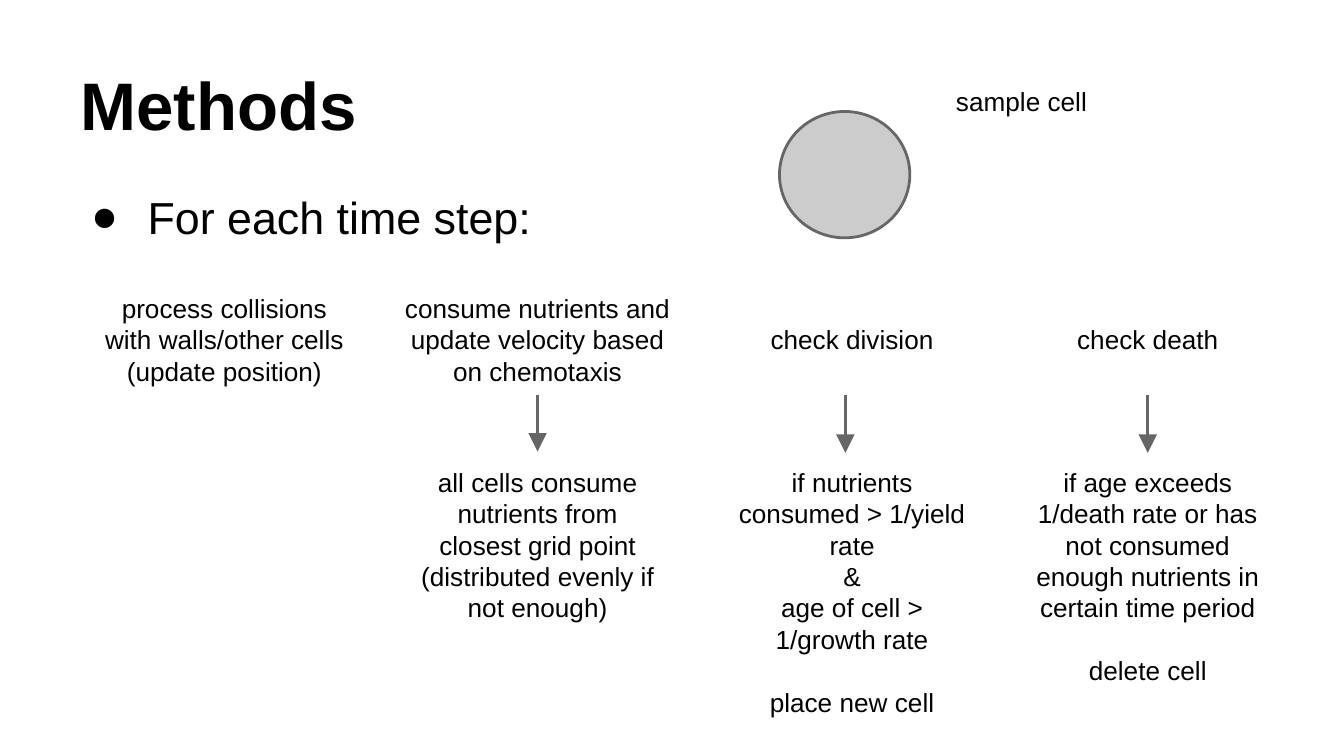
import pptx
import pptx.util
import pptx.dml.color
import pptx.enum.shapes
import pptx.enum.text
import pptx.oxml
import pptx.oxml.ns
from pptx.util import Inches

ANCHOR = pptx.enum.text.MSO_ANCHOR
ALIGN = pptx.enum.text.PP_ALIGN
GRAY = "666666"
STEP_TOP = 2.11
DETAIL_TOP = 3.37
BOX_WIDTH = 2.02
BOX_HEIGHT = 0.83

STEPS = [
    (0.66, BOX_WIDTH, "process collisions with walls/other cells (update position)"),
    (2.85, 2.3, "consume nutrients and update velocity based on chemotaxis"),
    (5.33, BOX_WIDTH, "check division"),
    (7.53, BOX_WIDTH, "check death"),
]
DETAILS = [
    (2.99, 1.46, ["all cells consume nutrients from closest grid point "
                  "(distributed evenly if not enough)"], None),
    (5.33, BOX_HEIGHT, ["if nutrients consumed > 1/yield rate", "&",
                        "age of cell > 1/growth rate"], "place new cell"),
    (7.53, BOX_HEIGHT, ["if age exceeds 1/death rate or has not consumed "
                        "enough nutrients in certain time period"], "delete cell"),
]
ARROWS = [(4, 3.36), (6.29, 3.37), (8.54, 3.37)]


def color(value):
    return pptx.dml.color.RGBColor.from_string(value)


def element(tag, attributes=""):
    namespace = pptx.oxml.ns.nsdecls("a")
    return pptx.oxml.parse_xml(f"<a:{tag} {namespace} {attributes}/>")


def apply(target, values):
    for name, value in values.items():
        setattr(target, name, value)


def format_frame(frame, anchor):
    margin = Inches(0.1)
    apply(frame, {
        "word_wrap": True, "auto_size": pptx.enum.text.MSO_AUTO_SIZE.NONE,
        "vertical_anchor": anchor, "margin_left": margin, "margin_right": margin,
        "margin_top": margin, "margin_bottom": margin,
    })


def write_para(para, text, size, align, bold=False):
    para.alignment = align
    span = para.add_run()
    span.text = text
    apply(span.font, {"name": "Arial", "size": pptx.util.Pt(size), "bold": bold})
    span.font.color.rgb = color("000000")


def add_text(page, left, top, width, height, texts, size=14,
             align=ALIGN.CENTER, anchor=ANCHOR.TOP):
    box = page.shapes.add_textbox(Inches(left), Inches(top), Inches(width), Inches(height))
    frame = box.text_frame
    format_frame(frame, anchor)
    for index, text in enumerate(texts):
        para = frame.add_paragraph() if index else frame.paragraphs[0]
        write_para(para, text, size, align)
    return frame


def add_title(page, text):
    title = page.shapes.title
    apply(title, {"left": Inches(0.5), "top": Inches(0.23),
                  "width": Inches(9), "height": Inches(0.94)})
    format_frame(title.text_frame, ANCHOR.BOTTOM)
    write_para(title.text_frame.paragraphs[0], text, 36, ALIGN.LEFT, True)


def add_bullet(para):
    properties = para._p.get_or_add_pPr()
    properties.set("marL", str(Inches(0.5)))
    properties.set("indent", str(Inches(-0.42)))
    properties.append(element("buFont", 'typeface="Arial"'))
    properties.append(element("buChar", 'char="●"'))


def add_cell(page):
    cell = page.shapes.add_shape(
        pptx.enum.shapes.MSO_SHAPE.OVAL,
        Inches(5.8), Inches(0.83), Inches(0.97), Inches(0.94))
    cell.shadow.inherit = False
    cell.fill.solid()
    cell.fill.fore_color.rgb = color("CCCCCC")
    cell.line.color.rgb = color(GRAY)
    cell.line.width = pptx.util.Pt(1.5)


def add_arrow(page, x, bottom):
    arrow = page.shapes.add_connector(
        pptx.enum.shapes.MSO_CONNECTOR.STRAIGHT,
        Inches(x), Inches(STEP_TOP + BOX_HEIGHT), Inches(x), Inches(bottom))
    arrow.line.color.rgb = color(GRAY)
    arrow.line.width = pptx.util.Pt(1.5)
    arrow.line._get_or_add_ln().append(
        element("tailEnd", 'type="triangle" w="lg" len="lg"'))
    arrow._element.spPr.append(element("effectLst"))


def main():
    deck = pptx.Presentation()
    width = Inches(10)
    apply(deck, {"slide_width": width, "slide_height": width * 9 // 16})
    page = deck.slides.add_slide(deck.slide_layouts[5])
    add_title(page, "Methods")
    intro = add_text(page, 0.5, 1.31, 9, 0.73, ["For each time step:"], 24, ALIGN.LEFT)
    add_bullet(intro.paragraphs[0])
    add_cell(page)
    for left, width, text in STEPS:
        add_text(page, left, STEP_TOP, width, BOX_HEIGHT, [text], anchor=ANCHOR.MIDDLE)
    for left, height, conditions, action in DETAILS:
        texts = conditions + [action] if action else conditions
        frame = add_text(page, left, DETAIL_TOP, BOX_WIDTH, height, texts)
        if action:
            frame.paragraphs[-1].space_before = pptx.util.Pt(16.8)
    for x, bottom in ARROWS:
        add_arrow(page, x, bottom)
    add_text(page, 6.59, 0.34, BOX_WIDTH, BOX_HEIGHT, ["sample cell"], anchor=ANCHOR.MIDDLE)
    deck.save("out.pptx")


if __name__ == "__main__":
    main()
